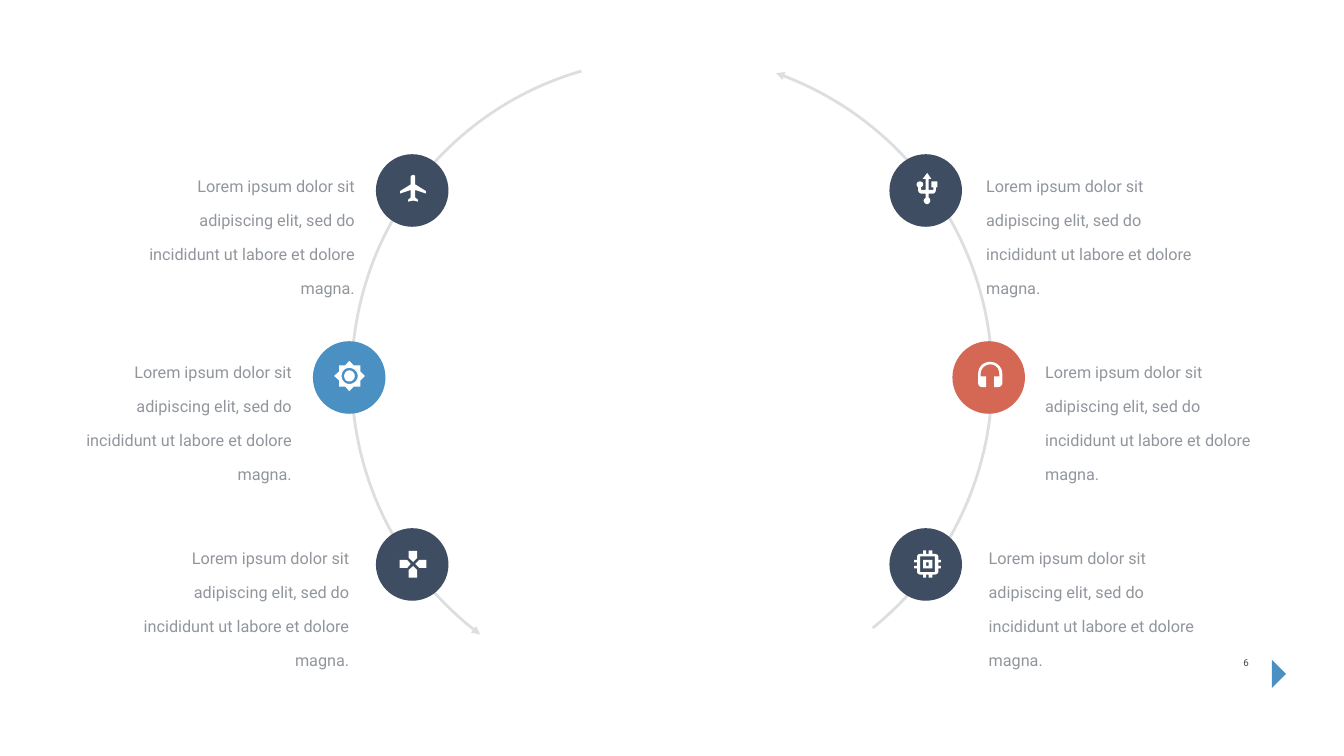
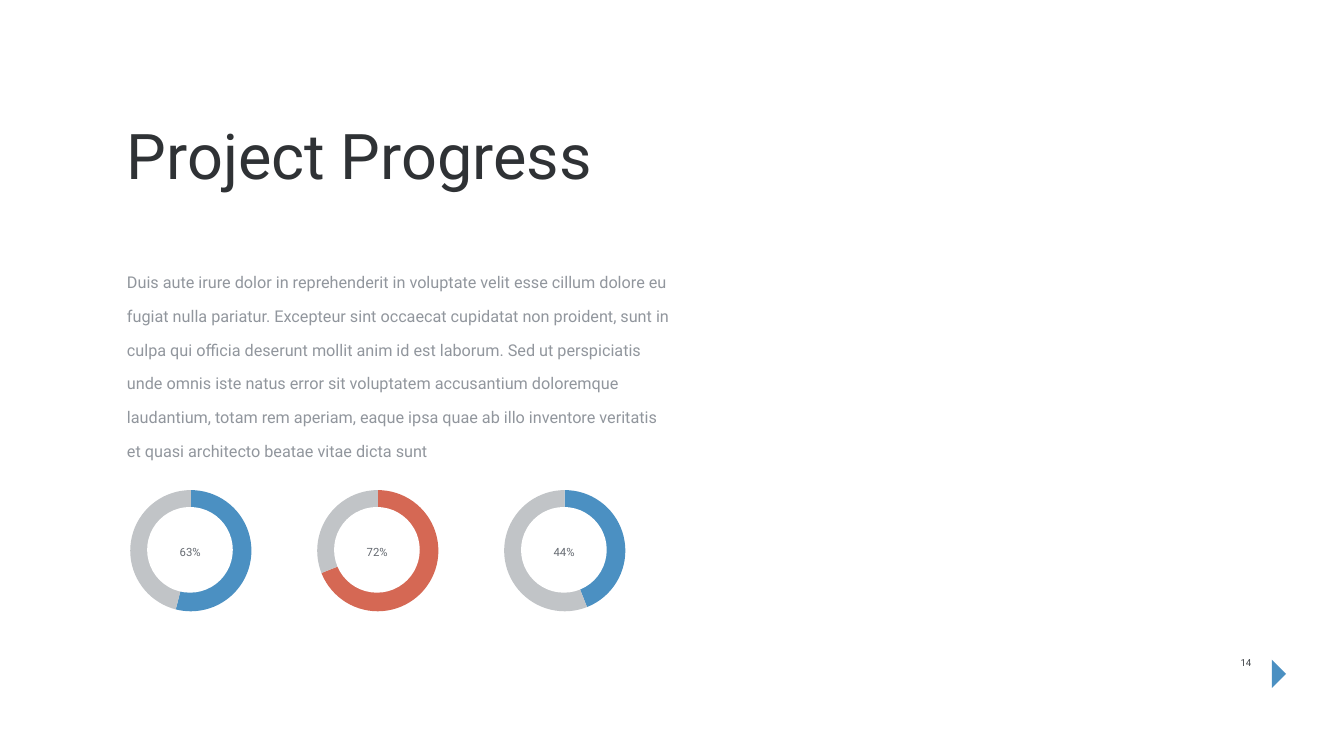
from dataclasses import dataclass

from lxml import etree
from pptx import Presentation
from pptx import util as u
from pptx.chart import data as chart_data
from pptx.dml import color
from pptx.enum import chart as chart_enum
from pptx.enum import shapes, text
from pptx.oxml import ns


@dataclass(frozen=True)
class Theme:
    """Colours, font and type sizes of the presentation."""
    font: str = "Roboto"
    white: str = "FFFFFF"
    navy: str = "3E4D61"
    blue: str = "4B90C2"
    coral: str = "D56854"
    arc: str = "DCDEE0"
    remainder: str = "C1C4C7"
    title: str = "2F3235"
    body: str = "91969D"
    percent: str = "656A71"
    page: str = "3F4347"
    title_size: int = 90
    body_size: int = 40
    percent_size: int = 28
    page_size: int = 24
    chart_size: int = 10
    raised: int = 43000
    inset: float = 0.06
    arc_width: int = 4


THEME = Theme()
LEFT, CENTER, RIGHT = (text.PP_ALIGN.LEFT, text.PP_ALIGN.CENTER, text.PP_ALIGN.RIGHT)
LOREM = "Lorem ipsum dolor sit adipiscing elit, sed do incididunt ut labore et dolore magna."
DUIS = (
    "Duis aute irure dolor in reprehenderit in voluptate velit esse cillum dolore eu "
    "fugiat nulla pariatur. Excepteur sint occaecat cupidatat non proident, sunt in "
    "culpa qui officia deserunt mollit anim id est laborum. Sed ut perspiciatis unde "
    "omnis iste natus error sit voluptatem accusantium doloremque laudantium, totam "
    "rem aperiam, eaque ipsa quae ab illo inventore veritatis et quasi architecto "
    "beatae vitae dicta sunt"
)

PLANE = (
    "M 99,78 99,73 78,60 78,45 C 78,43 76,41 74,41 C 72,41 69,43 69,45 69,60 48,73 "
    "48,78 69,71 69,86 64,90 64,94 74,92 83,94 83,90 78,86 78,71"
)
SUN = (
    "M 94,60 94,48 81,48 72,39 64,48 52,48 52,60 42,69 52,78 52,90 64,90 72,99 81,90 "
    "94,90 94,78 103,69 "
    "M 72,85 C 64,85 57,78 57,69 C 57,60 63,53 72,53 C 81,53 89,60 89,69 "
    "C 89,78 81,85 72,85 "
    "M 72,58 C 67,58 62,63 62,69 C 62,75 66,80 72,80 C 78,80 83,75 83,69 "
    "C 83,63 78,58 72,58"
)
USB = (
    "M 83,54 83,66 87,66 87,71 78,71 78,49 83,49 75,37 66,49 72,49 72,71 63,71 63,65 "
    "C 65,65 67,62 67,60 C 67,56 64,54 60,54 C 57,54 54,56 54,60 C 54,62 55,65 57,65 "
    "57,71 C 57,75 60,78 63,78 72,78 72,86 C 70,88 68,90 68,92 C 68,95 71,99 75,99 "
    "C 78,99 81,95 81,92 C 81,89 80,88 78,86 78,78 87,78 C 89,78 92,75 92,71 "
    "92,66 95,66 95,54"
)
GAMEPAD = (
    "M 82,59 82,45 65,45 65,59 74,67 M 62,63 47,63 47,79 62,79 69,71 "
    "M 65,83 65,98 82,98 82,83 74,75 M 86,63 78,71 86,79 100,79 100,63"
)
HEADPHONES = (
    "M 75,41 C 61,41 51,51 51,65 51,83 C 51,87 54,91 59,91 67,91 67,70 56,70 56,65 "
    "C 56,54 65,46 75,46 C 86,46 93,54 93,65 93,70 83,70 83,91 91,91 "
    "C 95,91 99,87 99,83 99,65 C 99,51 88,41 75,41"
)
CHIP = (
    "M 85,63 67,63 67,80 85,80 M 78,75 73,75 73,68 78,68 "
    "M 102,68 102,63 97,63 97,56 C 97,54 94,51 90,51 85,51 85,44 78,44 78,51 73,51 "
    "73,44 67,44 67,51 61,51 C 57,51 55,54 55,56 55,63 49,63 49,68 55,68 55,75 49,75 "
    "49,80 55,80 55,87 C 55,89 57,92 61,92 67,92 67,98 73,98 73,92 78,92 78,98 85,98 "
    "85,92 90,92 C 94,92 97,89 97,87 97,80 102,80 102,75 97,75 97,68 "
    "M 90,87 61,87 61,56 90,56"
)
LEFT_ARC = "M 456,0 C 246,60 81,226 23,437 C -47,690 45,960 255,1118"
RIGHT_ARC = "M 192,1101 C 359,966 447,756 426,543 C 401,295 235,83 0,0"


def rgb(value):
    """Turn a hex string into a colour."""
    return color.RGBColor.from_string(value)


def assign(target, **values):
    """Set each given format value on the target."""
    for name, value in values.items():
        setattr(target, name, value)


def trace(outline, left, top):
    """Turn an outline in hundredths of an inch into contours of EMU points."""
    def point(token):
        return tuple(int(part) / 100 for part in token.split(","))

    contours, tokens = [], iter(outline.split())
    for token in tokens:
        if token == "M":
            contours.append([])
        elif token == "C":
            controls = [contours[-1][-1]] + [point(next(tokens)) for _ in range(3)]
            steps = 40 if max(abs(controls[3][1] - controls[0][1]), 0) > 1 else 8
            for step in range(1, steps + 1):
                t = step / steps
                weights = ((1 - t) ** 3, 3 * t * (1 - t) ** 2, 3 * t * t * (1 - t), t ** 3)
                contours[-1].append(tuple(
                    sum(w * c[axis] for w, c in zip(weights, controls)) for axis in (0, 1)))
        else:
            contours[-1].append(point(token))
    return [[(u.Inches(left + x), u.Inches(top + y)) for x, y in contour]
            for contour in contours]


def add_outline(slide, outline, left, top, fill=None):
    """Draw a filled outline, or an open arrow when there is no fill."""
    first, *others = trace(outline, left, top)
    builder = slide.shapes.build_freeform(*first[0], scale=1.0)
    builder.add_line_segments(first[1:], close=bool(fill))
    for contour in others:
        builder.move_to(*contour[0])
        builder.add_line_segments(contour[1:], close=bool(fill))
    drawn = builder.convert_to_shape()
    drawn.shadow.inherit = False
    if fill:
        drawn.fill.solid()
        drawn.fill.fore_color.rgb = rgb(fill)
        drawn.line.fill.background()
    else:
        drawn.fill.background()
        drawn.line.color.rgb = rgb(THEME.arc)
        drawn.line.width = u.Pt(THEME.arc_width)
        stroke = drawn.element.spPr.find(ns.qn("a:ln"))
        etree.SubElement(stroke, ns.qn("a:tailEnd"), type="triangle")
    return drawn


def add_disc(slide, left, top, size, fill):
    """Draw a plain filled circle."""
    disc = slide.shapes.add_shape(
        shapes.MSO_SHAPE.OVAL, *map(u.Inches, (left, top, size, size)))
    disc.shadow.inherit = False
    disc.fill.solid()
    disc.fill.fore_color.rgb = rgb(fill)
    disc.line.fill.background()


def write(holder, words, size, ink, align=LEFT, spacing=None, raised=True,
          anchor=text.MSO_ANCHOR.TOP, fit=text.MSO_AUTO_SIZE.SHAPE_TO_FIT_TEXT):
    """Fill a text holder with one formatted paragraph."""
    frame = holder.text_frame
    inset = u.Inches(THEME.inset)
    assign(frame, word_wrap=True, auto_size=fit, vertical_anchor=anchor,
           margin_left=inset, margin_right=inset, margin_top=inset, margin_bottom=inset)
    paragraph = frame.paragraphs[0]
    assign(paragraph, alignment=align, line_spacing=spacing)
    run = paragraph.add_run()
    run.text = words
    assign(run.font, name=THEME.font, size=u.Pt(size))
    run.font.color.rgb = rgb(ink)
    if raised:
        run.font._element.set("baseline", str(THEME.raised))


def add_text(slide, box, words, size, ink, **options):
    """Add a text box at left, top, width, height in inches."""
    write(slide.shapes.add_textbox(*map(u.Inches, box)), words, size, ink, **options)


def add_page_marker(slide):
    """Put the shared corner triangle on the slide master."""
    marker = add_outline(slide, "M 0,0 28,28 0,56", 25.24, 13.09, THEME.blue)
    marker.element.nvSpPr.cNvPr.set("id", "90")
    slide.slide_layout.slide_master.element.cSld.spTree.append(marker.element)


def add_page_number(slide, number):
    """Write the page number beside the corner triangle."""
    add_text(slide, (24.22, 13.09, 1.01, 0.56), number, THEME.page_size, THEME.page,
             align=CENTER, spacing=0.7)


def add_item(slide, left, top, icon, fill):
    """Draw a round badge with its icon."""
    add_disc(slide, left, top, 1.44, fill)
    add_outline(slide, icon, left, top, THEME.white)


def add_side(slide, box, items, align):
    """Place three badges and their captions down one side of the ring."""
    left, top = box
    for row, (shift, caption_left, icon, fill) in enumerate(items):
        add_item(slide, left + shift, top + 3.71 * row, icon, fill)
        add_text(slide, (caption_left, top + 0.38 + 3.69 * row, 4.46, 1.91), LOREM,
                 THEME.body_size, THEME.body, align=align)


def build_ring_slide(slide):
    """Build the ring of six captioned badges."""
    add_page_number(slide, "6")
    add_outline(slide, LEFT_ARC, 6.98, 1.41)
    add_outline(slide, RIGHT_ARC, 15.4, 1.45)
    add_side(slide, (7.46, 3.06), (
        (0, 2.64, PLANE, THEME.navy),
        (-1.25, 1.39, SUN, THEME.blue),
        (0, 2.53, GAMEPAD, THEME.navy),
    ), RIGHT)
    add_side(slide, (17.65, 3.06), (
        (0, 19.51, USB, THEME.navy),
        (1.25, 20.68, HEADPHONES, THEME.coral),
        (0, 19.56, CHIP, THEME.navy),
    ), LEFT)


def add_progress_ring(slide, box, share, label, fill):
    """Draw a pie with a white centre and its percentage."""
    left, top, size = box
    values = chart_data.CategoryChartData()
    values.categories = ["1", "2"]
    values.add_series("Series 1", (share, 100 - share))
    pie = slide.shapes.add_chart(
        chart_enum.XL_CHART_TYPE.PIE, *map(u.Inches, (left, top, size, size)), values).chart
    assign(pie, has_legend=False, has_title=False)
    assign(pie.font, name=THEME.font, size=u.Pt(THEME.chart_size))
    pie.font.color.rgb = rgb(THEME.body)
    plot = pie.plots[0]
    plot.vary_by_categories = False
    series = plot.series[0]
    for part, ink in ((series, fill), (series.points[0], fill),
                      (series.points[1], THEME.remainder)):
        part.format.fill.solid()
        part.format.fill.fore_color.rgb = rgb(ink)
    fill_plot_area(pie)
    add_disc(slide, left + 0.36, top + 0.36, 1.7, THEME.white)
    add_text(slide, (left, top + 1.01, size, 0.79), label, THEME.percent_size,
             THEME.percent, align=CENTER, spacing=0.7, anchor=text.MSO_ANCHOR.MIDDLE)


def fill_plot_area(pie):
    """Stretch the pie over its whole frame."""
    area = pie.element.find(".//" + ns.qn("c:plotArea"))
    for automatic in area.findall(ns.qn("c:layout")):
        area.remove(automatic)
    layout = etree.Element(ns.qn("c:layout"))
    manual = etree.SubElement(layout, ns.qn("c:manualLayout"))
    for tag, value in (("layoutTarget", "inner"), ("xMode", "edge"), ("yMode", "edge"),
                       ("x", "0.01"), ("y", "0.01"), ("w", "0.99"), ("h", "0.99")):
        etree.SubElement(manual, ns.qn("c:" + tag), val=value)
    area.insert(0, layout)


def build_progress_slide(slide):
    """Build the title, description and three progress rings."""
    add_page_number(slide, "14")
    title = slide.shapes.title
    assign(title, left=u.Inches(2.46), top=u.Inches(1.91),
           width=u.Inches(13.57), height=u.Inches(2.5))
    write(title, "Project Progress", THEME.title_size, THEME.title, spacing=0.9,
          raised=False, anchor=text.MSO_ANCHOR.MIDDLE, fit=text.MSO_AUTO_SIZE.NONE)
    add_text(slide, (2.46, 5.34, 10.95, 3.25), DUIS, THEME.body_size, THEME.body)
    rings = ((54, "63%", THEME.blue), (69, "72%", THEME.coral), (44, "44%", THEME.blue))
    for column, ring in enumerate(rings):
        add_progress_ring(slide, (2.56 + 3.71 * column, 9.7, 2.43), *ring)


def main():
    """Build and save the presentation."""
    deck = Presentation()
    assign(deck, slide_width=u.Inches(26.67), slide_height=u.Inches(15))
    ring_slide = deck.slides.add_slide(deck.slide_layouts.get_by_name("Blank"))
    add_page_marker(ring_slide)
    build_ring_slide(ring_slide)
    build_progress_slide(deck.slides.add_slide(deck.slide_layouts.get_by_name("Title Only")))
    deck.save("out.pptx")


if __name__ == "__main__":
    main()
